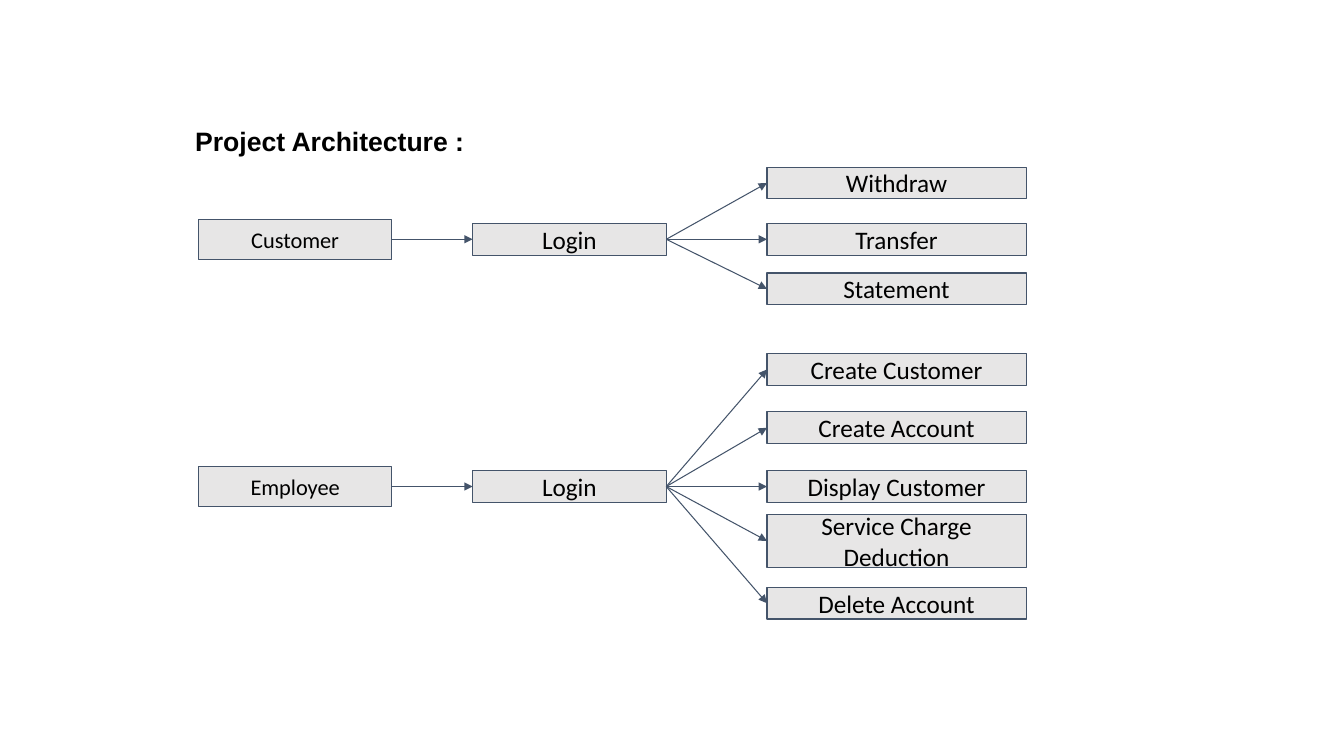
from dataclasses import dataclass

from lxml.etree import SubElement
from pptx import Presentation
from pptx.dml.color import RGBColor
from pptx.enum.shapes import MSO_CONNECTOR as Link, MSO_SHAPE as Preset
from pptx.enum.text import MSO_ANCHOR as Anchor, MSO_AUTO_SIZE as Fit, PP_ALIGN as Align
from pptx.oxml.ns import qn
from pptx.shapes.autoshape import Shape
from pptx.util import Cm, Pt

INK, PANEL, EDGE = "000000", "E7E6E6", "44546A"
INSET = Cm(0.25)
FRAME = dict(margin_left=INSET, margin_right=INSET, margin_top=INSET,
             margin_bottom=INSET, word_wrap=True)
LEFT_SIDE, RIGHT_SIDE = 1, 3


@dataclass(frozen=True)
class Column:
    left: float
    width: float
    height: float
    size: int


@dataclass(frozen=True)
class Action:
    label: str
    middle: float
    height: float = 0.8


@dataclass(frozen=True)
class Role:
    name: str
    middle: float
    actions: tuple[Action, ...]


ROLE_COLUMN = Column(5, 4.88, 1, 16)
LOGIN_COLUMN = Column(11.91, 4.88, 0.8, 18)
ACTION_COLUMN = Column(19.33, 6.53, 0.8, 18)

ROLES = (
    Role("Customer", 6.03, (
        Action("Withdraw", 4.61),
        Action("Transfer", 6.03),
        Action("Statement", 7.28),
    )),
    Role("Employee", 12.26, (
        Action("Create Customer", 9.31),
        Action("Create Account", 10.78),
        Action("Display Customer", 12.26),
        Action("Service Charge Deduction", 13.63, 1.35),
        Action("Delete Account", 15.2),
    )),
)


def color(value: str) -> RGBColor:
    return RGBColor.from_string(value)


def apply(target, values: dict) -> None:
    for name, value in values.items():
        setattr(target, name, value)


def write(shape: Shape, text: str, align, frame: dict, font: dict) -> None:
    text_frame = shape.text_frame
    text_frame.text = text
    apply(text_frame, FRAME | frame)
    paragraph = text_frame.paragraphs[0]
    paragraph.alignment = align
    run_font = paragraph.runs[0].font
    apply(run_font, font)
    run_font.color.rgb = color(INK)


def add_step(shapes, label: str, column: Column, middle: float, height: float) -> Shape:
    step = shapes.add_shape(Preset.RECTANGLE, Cm(column.left), Cm(middle - height / 2),
                            Cm(column.width), Cm(height))
    step.shadow.inherit = False
    step.fill.solid()
    step.fill.fore_color.rgb = color(PANEL)
    step.line.color.rgb = color(EDGE)
    step.line.width = Pt(0.75)
    write(step, label, Align.CENTER, dict(vertical_anchor=Anchor.MIDDLE),
          dict(name="Calibri", size=Pt(column.size)))
    return step


def add_arrow(shapes, source: Shape, target: Shape) -> None:
    arrow = shapes.add_connector(Link.STRAIGHT, 0, 0, 0, 0)
    arrow.begin_connect(source, RIGHT_SIDE)
    arrow.end_connect(target, LEFT_SIDE)
    arrow.line.color.rgb = color(EDGE)
    arrow.line.width = Pt(0.75)
    properties = arrow.element.spPr
    SubElement(properties.find(qn("a:ln")), qn("a:tailEnd"), type="triangle")
    SubElement(properties, qn("a:effectLst"))


def add_role(shapes, role: Role) -> None:
    actor = add_step(shapes, role.name, ROLE_COLUMN, role.middle, ROLE_COLUMN.height)
    login = add_step(shapes, "Login", LOGIN_COLUMN, role.middle, LOGIN_COLUMN.height)
    add_arrow(shapes, actor, login)
    for action in role.actions:
        step = add_step(shapes, action.label, ACTION_COLUMN, action.middle, action.height)
        add_arrow(shapes, login, step)


deck = Presentation()
apply(deck, dict(slide_width=Cm(33.87), slide_height=Cm(19.05)))
slide = deck.slides.add_slide(deck.slide_layouts[5])

heading = slide.shapes.title
apply(heading, dict(left=Cm(4.67), top=Cm(2.9), width=Cm(8.13), height=Cm(1.32)))
write(heading, "Project Architecture :", Align.LEFT,
      dict(vertical_anchor=Anchor.TOP, auto_size=Fit.SHAPE_TO_FIT_TEXT),
      dict(name="Arial", size=Pt(19), bold=True))

for role in ROLES:
    add_role(slide.shapes, role)

deck.save("out.pptx")
